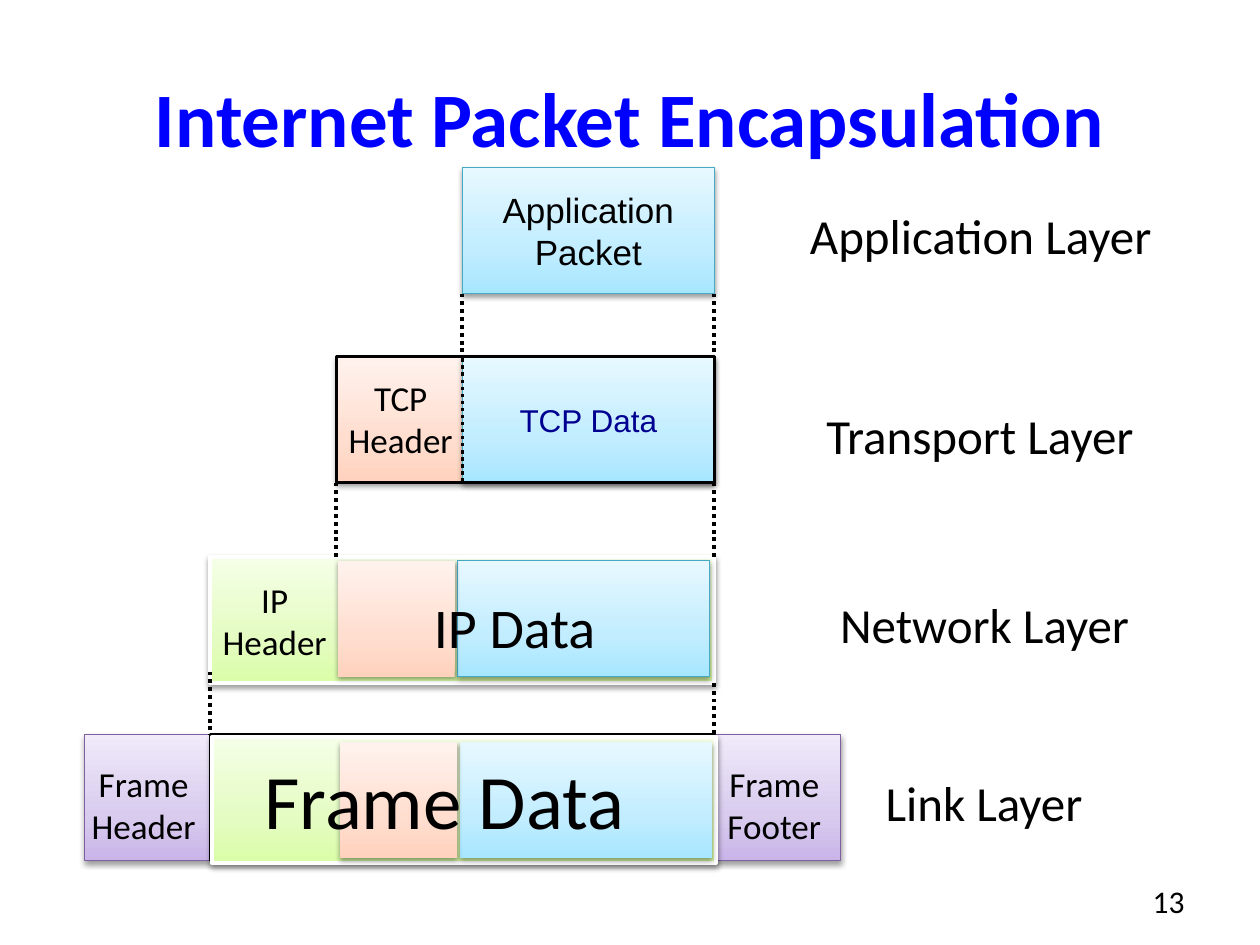
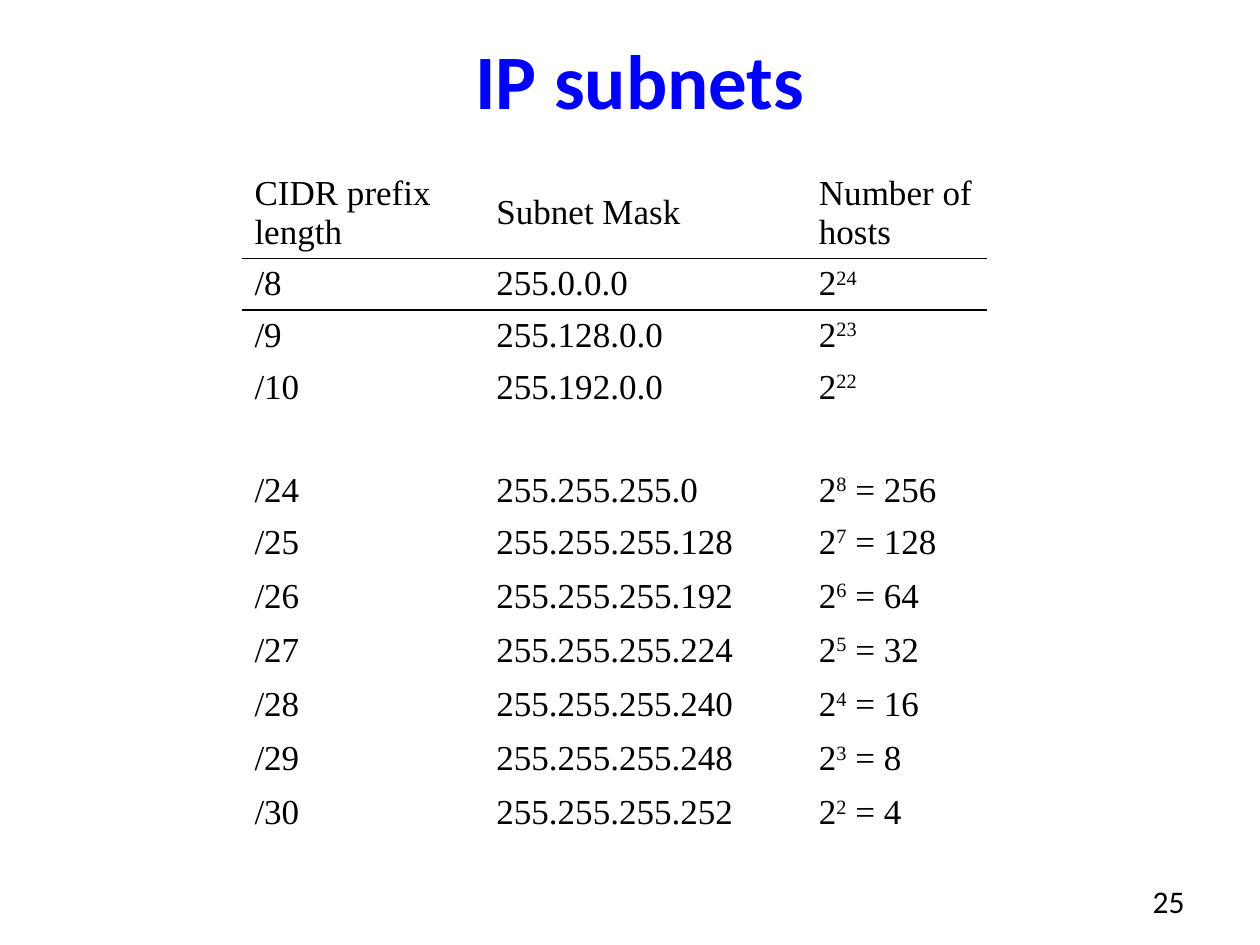
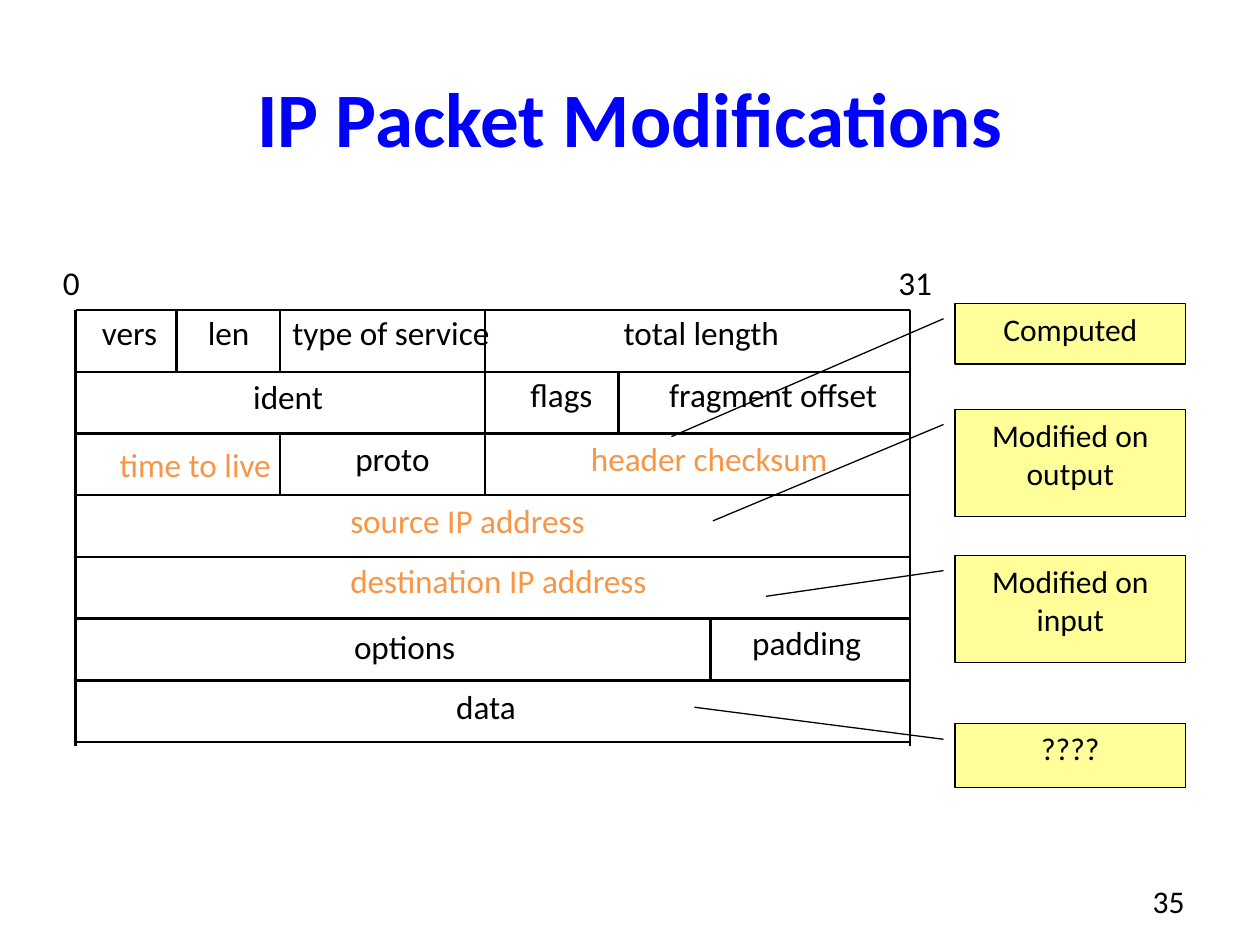
from copy import deepcopy
from dataclasses import dataclass
from typing import NamedTuple, Optional

from lxml.etree import SubElement
from pptx import Presentation
from pptx.dml.color import RGBColor
from pptx.enum.dml import MSO_LINE
from pptx.enum.shapes import MSO_CONNECTOR, MSO_SHAPE
from pptx.enum.text import MSO_ANCHOR, MSO_AUTO_SIZE, PP_ALIGN
from pptx.oxml import parse_xml
from pptx.oxml.ns import nsdecls, qn
from pptx.util import Inches, Pt


def rgb(code: str) -> RGBColor:
    return RGBColor.from_string(code)


class Shade(NamedTuple):
    bottom: RGBColor
    middle: RGBColor
    top: RGBColor
    edge: RGBColor


@dataclass(frozen=True)
class Theme:
    body_font: str = "Calibri"
    block_font: str = "Arial"
    table_font: str = "Times New Roman"
    ink: RGBColor = rgb("000000")
    white: RGBColor = rgb("FFFFFF")
    title: RGBColor = rgb("0000FF")
    navy: RGBColor = rgb("000090")
    changed: RGBColor = rgb("F79646")
    note: RGBColor = rgb("FFFF99")
    purple: Shade = Shade(rgb("C9B5E8"), rgb("D8CBEE"), rgb("F0EAF9"), rgb("7D60A0"))
    green: Shade = Shade(rgb("DAFDA7"), rgb("E4FCC2"), rgb("F5FFE7"), rgb("FFFFFF"))
    orange: Shade = Shade(rgb("FFD2BD"), rgb("FFDED0"), rgb("FFF2ED"), rgb("F69240"))
    blue: Shade = Shade(rgb("A7E6FF"), rgb("C1EDFF"), rgb("E7F8FF"), rgb("46AAC5"))
    title_size: int = 44
    data_size: int = 32
    layer_size: int = 28
    block_size: int = 20
    field_size: int = 19
    small_size: int = 18


THEME = Theme()


class Block(NamedTuple):
    left: float
    top: float
    width: float
    height: float
    shade: Shade
    edge_width: float = 0.75
    text: str = ""
    size: int = THEME.block_size
    color: RGBColor = THEME.ink


class Label(NamedTuple):
    text: str
    left: float
    top: float
    width: float
    height: float
    size: int
    align: PP_ALIGN = PP_ALIGN.LEFT


class Rule(NamedTuple):
    x1: float
    y1: float
    x2: float
    y2: float


class Field(NamedTuple):
    text: str
    row: int
    left: float
    width: float
    drop: float
    color: RGBColor = THEME.ink


class Callout(NamedTuple):
    text: str
    top: float
    height: float
    pointer: tuple


def write_text(frame, text: str, *, size: float, font: str = THEME.body_font,
               color: RGBColor = THEME.ink, bold: bool = False,
               align: PP_ALIGN = PP_ALIGN.LEFT) -> None:
    for index, line in enumerate(text.split("\n")):
        para = frame.add_paragraph() if index else frame.paragraphs[0]
        para.alignment = align
        for part, words in enumerate(line.split("^")):
            if not words:
                continue
            span = para.add_run()
            span.text = words
            span.font.name = font
            span.font.size = Pt(size)
            span.font.bold = bold
            span.font.color.rgb = color
            if part % 2:
                span.font._element.set("baseline", "30000")


def add_box(page, text: str, left: float, top: float, width: float, height: float, *,
            wrap: bool = False, inset: bool = True,
            anchor: MSO_ANCHOR = MSO_ANCHOR.TOP, **style) -> None:
    box = page.shapes.add_textbox(Inches(left), Inches(top), Inches(width), Inches(height))
    frame = box.text_frame
    frame.word_wrap = wrap
    frame.auto_size = MSO_AUTO_SIZE.NONE if wrap else MSO_AUTO_SIZE.SHAPE_TO_FIT_TEXT
    frame.vertical_anchor = anchor
    if not inset:
        frame.margin_left = frame.margin_right = frame.margin_top = frame.margin_bottom = 0
    write_text(frame, text, **style)


def add_page(deck, title: str, number: int, left: float = 0.5, top: float = 0.3,
             width: float = 9):
    page = deck.slides.add_slide(deck.slide_layouts[6])
    add_box(page, title, left, top, width, 1.25, wrap=True, anchor=MSO_ANCHOR.MIDDLE,
            size=THEME.title_size, color=THEME.title, bold=True, align=PP_ALIGN.CENTER)
    add_box(page, str(number), 7.17, 6.95, 2.33, 0.4, wrap=True,
            size=THEME.small_size, align=PP_ALIGN.RIGHT)
    return page


def add_shape(page, kind: MSO_SHAPE, left: float, top: float, width: float, height: float,
              edge: RGBColor, edge_width: float):
    shape = page.shapes.add_shape(kind, Inches(left), Inches(top), Inches(width), Inches(height))
    shape.shadow.inherit = False
    shape.line.color.rgb = edge
    shape.line.width = Pt(edge_width)
    return shape


def add_block(page, block: Block) -> None:
    shade = block.shade
    shape = add_shape(page, MSO_SHAPE.RECTANGLE, block.left, block.top, block.width,
                      block.height, shade.edge, block.edge_width)
    if not block.edge_width:
        shape.line.fill.background()
    shape.fill.gradient()
    shape.fill.gradient_angle = 90
    properties = shape._element.spPr
    stops = properties.find(".//" + qn("a:gsLst"))
    stops.append(deepcopy(stops[0]))
    for stop, position, color in zip(shape.fill.gradient_stops, (0, 0.35, 1), shade):
        stop.position = position
        stop.color.rgb = color
    properties.find(qn("a:effectLst")).append(parse_xml(
        f'<a:outerShdw {nsdecls("a")} blurRad="40000" dist="20000" dir="5400000" rotWithShape="0">'
        '<a:srgbClr val="000000"><a:alpha val="38000"/></a:srgbClr></a:outerShdw>'))
    if block.text:
        shape.text_frame.word_wrap = True
        write_text(shape.text_frame, block.text, size=block.size, font=THEME.block_font,
                   color=block.color, align=PP_ALIGN.CENTER)


def add_rule(page, rule: Rule, width: float, dash: Optional[MSO_LINE] = None) -> None:
    line = page.shapes.add_connector(MSO_CONNECTOR.STRAIGHT, *map(Inches, rule))
    line.line.color.rgb = THEME.ink
    line.line.width = Pt(width)
    if dash is not None:
        line.line.dash_style = dash
    SubElement(line._element.spPr, qn("a:effectLst"))


def build_encapsulation(deck) -> None:
    page = add_page(deck, "Internet Packet Encapsulation", 13)
    frame_left, ip_left, tcp_left, data_left, right = 0.67, 1.67, 2.67, 3.67, 5.67
    application, transport, network, link = 1.33, 2.83, 4.42, 5.83

    for block in (
        Block(frame_left, link, 6, 1, THEME.purple),
        Block(ip_left, network, 4, 1, THEME.green, 2.25),
        Block(tcp_left, transport, 3, 1, THEME.orange),
        Block(data_left, application, 2, 1, THEME.blue, text="Application Packet"),
        Block(data_left, transport, 2, 1, THEME.blue, text="TCP Data",
              size=THEME.small_size, color=THEME.navy),
    ):
        add_block(page, block)

    for left, top, dash in ((data_left, transport, MSO_LINE.ROUND_DOT),
                            (tcp_left, transport, None), (ip_left, link, None)):
        outline = add_shape(page, MSO_SHAPE.RECTANGLE, left, top, right - left, 1, THEME.ink, 2)
        outline.fill.background()
        if dash is not None:
            outline.line.dash_style = dash

    for left, start, end in ((data_left, application + 1, transport),
                             (tcp_left, transport + 1, network),
                             (ip_left, network + 0.91, link)):
        add_rule(page, Rule(left, start, left, end), 2.25, MSO_LINE.ROUND_DOT)
    for start, end in ((application + 1, transport), (transport + 1, network),
                       (network + 1, link + 0.09)):
        add_rule(page, Rule(right, start, right, end), 2.25, MSO_LINE.ROUND_DOT)

    for block in (
        Block(3.63, 4.45, 2, 0.92, THEME.blue),
        Block(2.68, 4.45, 0.93, 0.92, THEME.orange, 0),
        Block(1.68, 5.85, 4, 1, THEME.green, 2.25),
        Block(3.65, 5.89, 2, 0.92, THEME.blue, 0),
        Block(2.7, 5.89, 0.93, 0.92, THEME.orange, 0),
    ):
        add_block(page, block)

    center = PP_ALIGN.CENTER
    for label in (
        Label("TCP\nHeader", 2.62, 2.94, 1.12, 0.73, THEME.block_size, center),
        Label("IP\nHeader", 1.62, 4.54, 1.12, 0.73, THEME.block_size, center),
        Label("Frame\nHeader", 0.58, 6, 1.12, 0.73, THEME.block_size, center),
        Label("Frame\nFooter", 5.64, 6, 1.01, 0.73, THEME.block_size, center),
        Label("IP Data", 2.75, 4.65, 2.67, 0.6, THEME.data_size, center),
        Label("Frame Data", 2, 5.92, 3.46, 0.84, THEME.title_size),
        Label("Application Layer", 6.33, 1.58, 3.22, 0.54, THEME.layer_size),
        Label("Transport Layer", 6.46, 3.17, 2.97, 0.54, THEME.layer_size),
        Label("Network Layer", 6.57, 4.67, 2.74, 0.54, THEME.layer_size),
        Label("Link Layer", 6.93, 6.08, 2.02, 0.54, THEME.layer_size),
    ):
        add_box(page, label.text, label.left, label.top, label.width, label.height,
                size=label.size, align=label.align)


def subnet_row(prefix: int) -> tuple:
    bits = 32 - prefix
    mask = 2 ** 32 - 2 ** bits
    octets = ".".join(str(mask >> shift & 255) for shift in (24, 16, 8, 0))
    total = f" = {2 ** bits}" if bits <= 8 else ""
    return f"/{prefix}", octets, f"2^{bits}^{total}"


def add_border(cell, side: str) -> None:
    cell._tc.get_or_add_tcPr().insert(0, parse_xml(
        f'<a:{side} {nsdecls("a")} w="12700"><a:solidFill><a:srgbClr val="{THEME.ink}"/>'
        f'</a:solidFill></a:{side}>'))


def build_subnets(deck) -> None:
    page = add_page(deck, "IP subnets", 25, 0.83, 0, 8.5)
    blank = ("", "", "")
    rows = [("CIDR prefix length", "Subnet Mask", "Number of hosts"),
            *map(subnet_row, range(8, 11)), blank, *map(subnet_row, range(24, 31)), blank]
    heights = [0.72] + [0.41] * 5 + [0.43] * 5 + [0.2]
    widths = (1.92, 2.56, 1.43)
    table = page.shapes.add_table(len(rows), len(widths), Inches(1.92), Inches(1.33),
                                  Inches(sum(widths)), Inches(sum(heights))).table
    table.first_row = table.horz_banding = False
    style = table._tbl.tblPr.find(qn("a:tableStyleId"))
    style.text = "{2D5ABB26-0587-4C30-8999-92F81FD0307C}"
    for column, width in zip(table.columns, widths):
        column.width = Inches(width)
    for index, (row, height, texts) in enumerate(zip(table.rows, heights, rows)):
        row.height = Inches(height)
        for cell, text in zip(row.cells, texts):
            cell.fill.background()
            write_text(cell.text_frame, text, size=THEME.block_size, font=THEME.table_font)
            if index == 0:
                cell.vertical_anchor = MSO_ANCHOR.MIDDLE
                add_border(cell, "lnB")
            elif index == 1:
                add_border(cell, "lnT")


def build_modifications(deck) -> None:
    page = add_page(deck, "IP Packet Modifications", 35)
    left, right, top, pitch, row_count = 0.6, 7.22, 2.46, 0.49, 7

    def edge(row: int) -> float:
        return top + row * pitch

    for row in range(row_count + 1):
        add_rule(page, Rule(left, edge(row), right, edge(row)), 1.3)
    for side in (left, right):
        add_rule(page, Rule(side, top, side, 5.92), 1.3)
    for x, first, last in ((1.4, 0, 1), (2.22, 0, 1), (3.85, 0, 3), (4.91, 1, 2),
                           (2.22, 2, 3), (5.64, 5, 6)):
        add_rule(page, Rule(x, edge(first), x, edge(last)), 1.3)

    for field in (
        Field("0", 0, 0.5, 0.14, -0.38),
        Field("31", 0, 7.13, 0.27, -0.38),
        Field("vers", 0, 0.81, 0.44, 0.02),
        Field("len", 0, 1.65, 0.34, 0.02),
        Field("type of service", 0, 2.32, 1.58, 0.02),
        Field("total length", 0, 4.95, 1.25, 0.02),
        Field("ident", 1, 2.01, 0.56, 0.04),
        Field("flags", 1, 4.21, 0.5, 0.02),
        Field("fragment offset", 1, 5.31, 1.68, 0.02),
        Field("time to live", 2, 0.95, 1.22, 0.09, THEME.changed),
        Field("proto", 2, 2.82, 0.6, 0.04),
        Field("header checksum", 2, 4.69, 1.9, 0.04, THEME.changed),
        Field("source IP address", 3, 2.78, 1.88, 0.04, THEME.changed),
        Field("destination IP address", 4, 2.78, 2.38, 0.03, THEME.changed),
        Field("options", 5, 2.81, 0.81, 0.06),
        Field("padding", 5, 5.97, 0.88, 0.03),
        Field("data", 6, 3.62, 0.48, 0.05),
    ):
        add_box(page, field.text, field.left, edge(field.row) + field.drop, field.width, 0.3,
                inset=False, size=THEME.field_size, color=field.color)

    for callout in (
        Callout("Computed", 2.41, 0.48, (0.25, -0.05, 2.2, -1.23)),
        Callout("Modified on output", 3.25, 0.85, (0.14, -0.05, 1.04, -1.05)),
        Callout("Modified on input", 4.41, 0.85, (0.14, -0.05, 0.38, -0.82)),
        Callout("????", 5.74, 0.51, (0.25, -0.05, -0.25, -1.13)),
    ):
        shape = add_shape(page, MSO_SHAPE.LINE_CALLOUT_1, 7.58, callout.top, 1.83,
                          callout.height, THEME.ink, 0.75)
        shape.fill.solid()
        shape.fill.fore_color.rgb = THEME.note
        for index, value in enumerate(callout.pointer):
            shape.adjustments[index] = value
        shape.text_frame.word_wrap = True
        shape.text_frame.vertical_anchor = MSO_ANCHOR.TOP
        write_text(shape.text_frame, callout.text, size=THEME.small_size,
                   align=PP_ALIGN.CENTER)


def main() -> None:
    deck = Presentation()
    deck.slide_width = Inches(10)
    deck.slide_height = Inches(7.5)
    build_encapsulation(deck)
    build_subnets(deck)
    build_modifications(deck)
    deck.save("out.pptx")


if __name__ == "__main__":
    main()
